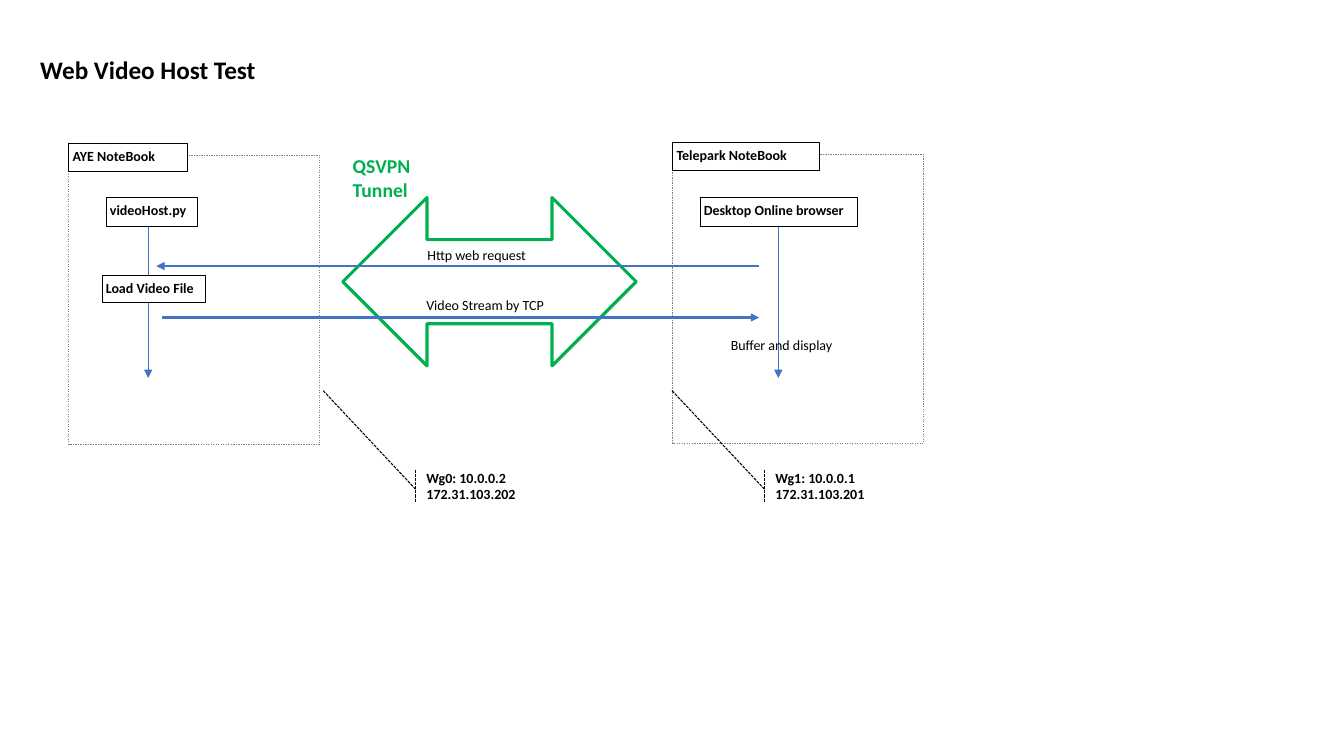
import pptx
import pptx.util
import pptx.dml.color
import pptx.enum.dml
import pptx.enum.shapes
import pptx.enum.text
import pptx.oxml.ns
from lxml import etree

Inches = pptx.util.Inches
Pt = pptx.util.Pt
Color = pptx.dml.color.RGBColor
Dash = pptx.enum.dml.MSO_LINE
Kind = pptx.enum.shapes.MSO_SHAPE
Anchor = pptx.enum.text.MSO_ANCHOR
qn = pptx.oxml.ns.qn

BLACK = Color(0x00, 0x00, 0x00)
WHITE = Color(0xFF, 0xFF, 0xFF)
GRAY = Color(0x80, 0x80, 0x80)
BLUE = Color(0x44, 0x72, 0xC4)
GREEN = Color(0x00, 0xB0, 0x50)

deck = pptx.Presentation()
deck.slide_width, deck.slide_height = Inches(13.33), Inches(7.5)
slide = deck.slides.add_slide(deck.slide_layouts[6])
shapes = slide.shapes


def add_box(kind, spot, color, width, fill=None, dash=None):
    box = shapes.add_shape(kind, *map(Inches, spot))
    box.shadow.inherit = False
    if fill is None:
        box.fill.background()
    else:
        box.fill.solid()
        box.fill.fore_color.rgb = fill
    box.line.color.rgb = color
    box.line.width = Pt(width)
    if dash is not None:
        box.line.dash_style = dash
    return box


def write(box, text, size=10, bold=True, color=BLACK, inset=None, anchor=Anchor.TOP):
    frame = box.text_frame
    frame.word_wrap = True
    frame.vertical_anchor = anchor
    if inset is not None:
        frame.margin_left = frame.margin_right = Inches(inset)
        frame.margin_top = frame.margin_bottom = Inches(inset)
    frame.text = text
    for para in frame.paragraphs:
        para.alignment = pptx.enum.text.PP_ALIGN.LEFT
        para.font.name = "Calibri"
        para.font.size = Pt(size)
        para.font.bold = bold
        para.font.color.rgb = color


# Notebook frames
for left, top in [(0.68, 1.54), (6.67, 1.53)]:
    add_box(Kind.RECTANGLE, (left, top, 2.49, 2.87), GRAY, 0.25, WHITE, Dash.DASH)

# Tunnel
add_box(Kind.LEFT_RIGHT_ARROW, (3.4, 1.96, 2.91, 1.67), GREEN, 2.25)

# Arrows: x and y of the start, x and y of the end, width
links = []
for x1, y1, x2, y2, width in [
    (1.47, 2.24, 1.47, 3.75, 0.5),
    (7.72, 2.24, 7.72, 3.75, 0.5),
    (7.53, 2.64, 1.55, 2.64, 1.5),
    (1.61, 3.15, 7.53, 3.15, 1.5),
]:
    link = shapes.add_connector(
        pptx.enum.shapes.MSO_CONNECTOR.STRAIGHT, *map(Inches, (x1, y1, x2, y2))
    )
    link.line.color.rgb = BLUE
    link.line.width = Pt(width)
    props = link._element.spPr
    etree.SubElement(props.find(qn("a:ln")), qn("a:tailEnd"), type="triangle")
    etree.SubElement(props, qn("a:effectLst"))
    links.append(link)

# Name boxes
boxes = {}
for text, *spot in [
    ("AYE NoteBook", 0.68, 1.42, 1.18, 0.28),
    ("Telepark NoteBook", 6.67, 1.41, 1.46, 0.28),
    ("videoHost.py", 1.05, 1.96, 0.91, 0.28),
    ("Desktop Online browser", 6.94, 1.96, 1.56, 0.28),
    ("Load Video File", 1.01, 2.73, 1.03, 0.27),
]:
    boxes[text] = add_box(Kind.RECTANGLE, spot, BLACK, 0.25, WHITE)
    write(boxes[text], text, inset=0.04)
links[1].begin_connect(boxes["Desktop Online browser"], 2)

# Address callouts
for left, text in [
    (7.67, "Wg1: 10.0.0.1\n172.31.103.201"),
    (4.21, "Wg0: 10.0.0.2\n172.31.103.202"),
]:
    note = add_box(
        Kind.LINE_CALLOUT_1_ACCENT_BAR, (left, 4.66, 1.72, 0.32),
        BLACK, 0.75, dash=Dash.SQUARE_DOT,
    )
    for i, value in enumerate([0.607, -0.051, -2.462, -0.586]):
        note.adjustments[i] = value
    write(note, text, inset=0.02, anchor=Anchor.MIDDLE)

# Free text
for text, size, bold, color, *spot in [
    ("Web Video Host Test", 18, True, BLACK, 0.3, 0.49, 2.49, 0.4),
    ("QSVPN Tunnel", 14, True, GREEN, 3.4, 1.48, 1.08, 0.57),
    ("Http web request", 10, False, BLACK, 4.14, 2.4, 1.21, 0.27),
    ("Video Stream by TCP", 10, False, BLACK, 4.13, 2.89, 1.52, 0.27),
    ("Buffer and display", 10, False, BLACK, 7.15, 3.29, 1.35, 0.27),
]:
    label = shapes.add_textbox(*map(Inches, spot))
    write(label, text, size, bold, color)
    label.text_frame.auto_size = pptx.enum.text.MSO_AUTO_SIZE.SHAPE_TO_FIT_TEXT

deck.save("out.pptx")
